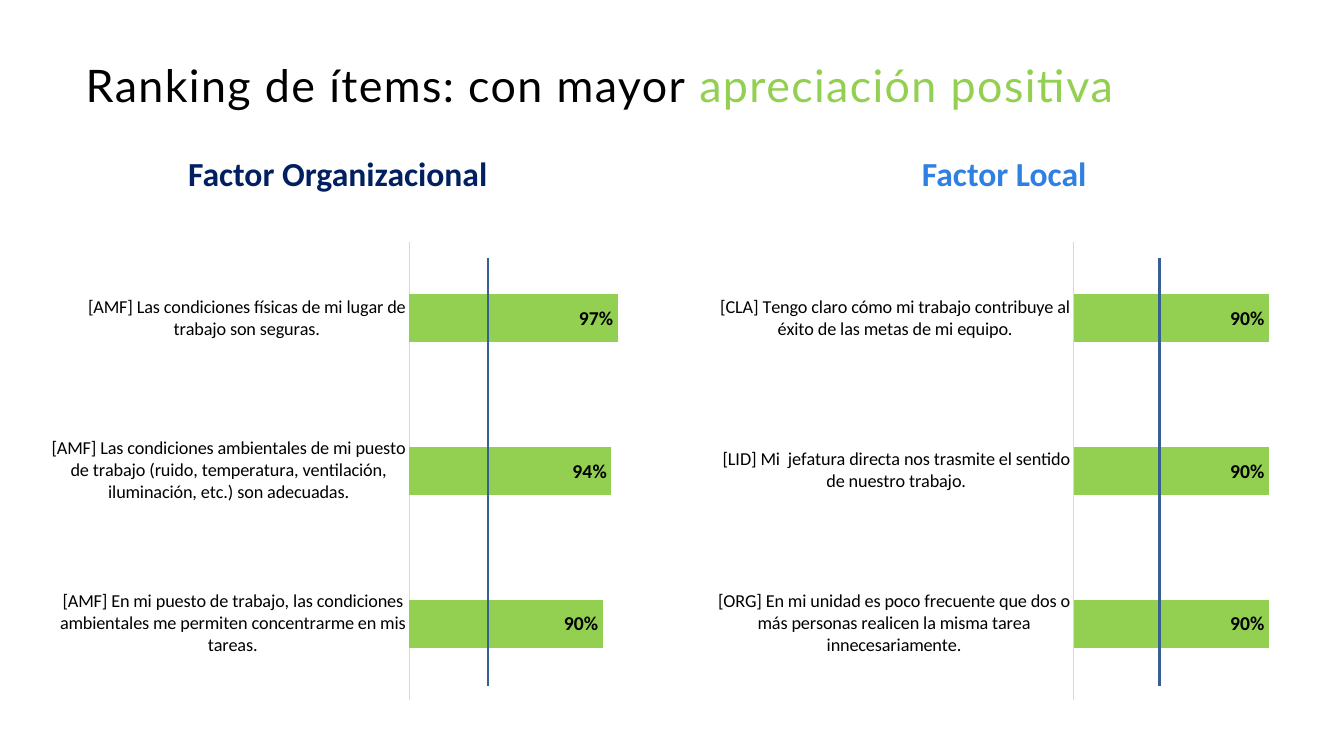
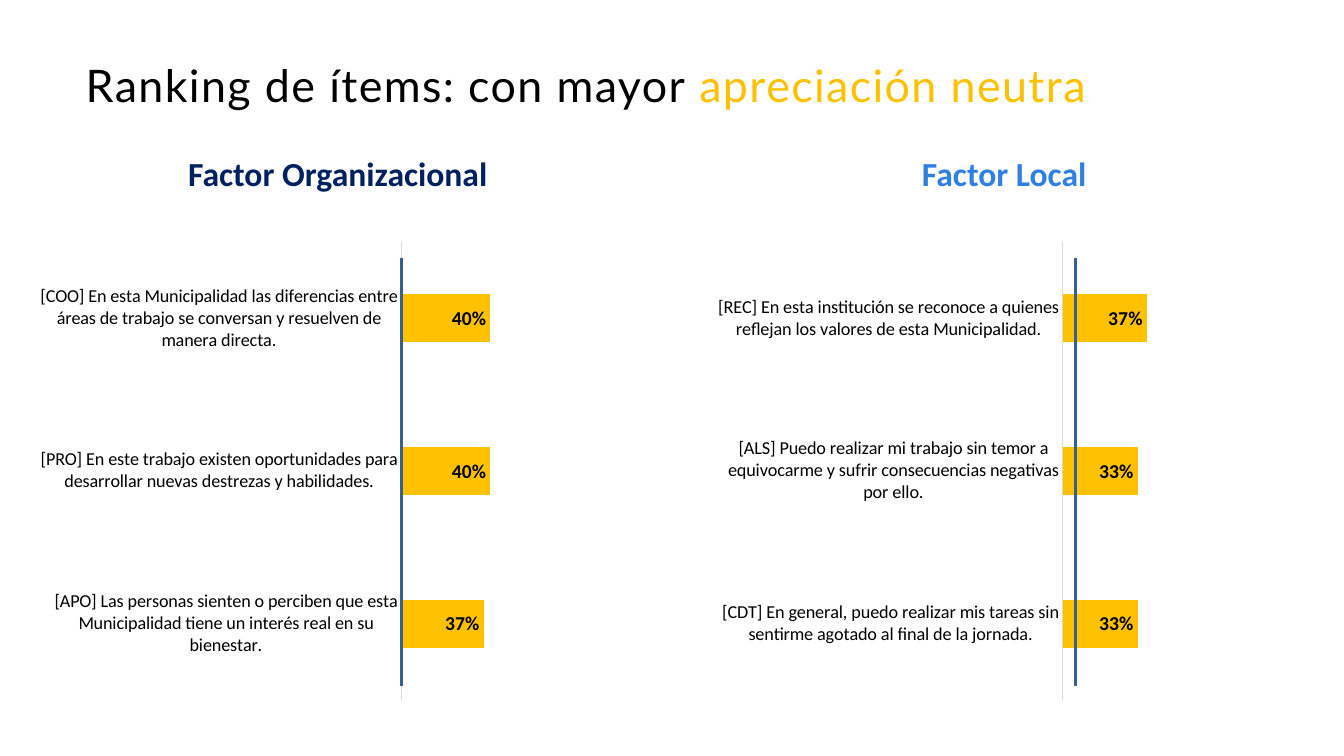
from dataclasses import dataclass

from lxml import etree
from pptx import Presentation
from pptx.chart.data import CategoryChartData
from pptx.dml.color import RGBColor
from pptx.enum.chart import XL_CHART_TYPE as ChartType
from pptx.enum.chart import XL_LABEL_POSITION as LabelPosition
from pptx.enum.chart import XL_TICK_LABEL_POSITION as TickLabelPosition
from pptx.enum.chart import XL_TICK_MARK as TickMark
from pptx.enum.shapes import MSO_CONNECTOR as Connector
from pptx.enum.text import MSO_ANCHOR as Anchor
from pptx.enum.text import MSO_AUTO_SIZE as AutoSize
from pptx.enum.text import PP_ALIGN as Align
from pptx.oxml.ns import qn
from pptx.util import Emu, Pt

EMU_PER_PX = 9144
TITLE_LAYOUT = 5
TITLE_FONT = "Lato"
BODY_FONT = "Calibri"
CHART_TOP, CHART_WIDTH, CHART_HEIGHT = 231, 591, 475
PLOT_TOP, PLOT_RIGHT, PLOT_HEIGHT = 9, 579, 455
COLORS = {
    "text": "000000",
    "chart_text": "FFFFFF",
    "organizational": "002060",
    "local": "307FE2",
    "positive": "93D051",
    "neutral": "FEC100",
    "axis": "D9D9D9",
    "reference": "376092",
}


@dataclass
class Factor:
    heading: str
    color: str
    heading_left: int
    chart_left: int


@dataclass
class Ranking:
    axis_x: int
    reference_x: int
    items: list


FACTORS = [
    Factor("Factor Organizacional", "organizational", 83, 40),
    Factor("Factor Local", "local", 744, 701),
]

POSITIVE = [
    Ranking(406, 484, [
        ("[AMF] En mi puesto de trabajo, las condiciones ambientales me permiten "
         "concentrarme en mis tareas.", 0.90),
        ("[AMF] Las condiciones ambientales de mi puesto de trabajo (ruido, temperatura, "
         "ventilación, iluminación, etc.) son adecuadas.", 0.94),
        ("[AMF] Las condiciones físicas de mi lugar de trabajo son seguras.", 0.97),
    ]),
    Ranking(1065, 1150, [
        ("[ORG] En mi unidad es poco frecuente que dos o más personas realicen la misma "
         "tarea innecesariamente.", 0.90),
        ("[LID] Mi  jefatura directa nos trasmite el sentido de nuestro trabajo.", 0.90),
        ("[CLA] Tengo claro cómo mi trabajo contribuye al éxito de las metas de mi equipo.",
         0.90),
    ]),
]

NEUTRAL = [
    Ranking(397, 398, [
        ("[APO] Las personas sienten o perciben que esta Municipalidad tiene un interés "
         "real en su bienestar.", 0.37),
        ("[PRO] En este trabajo existen oportunidades para desarrollar nuevas destrezas y "
         "habilidades.", 0.40),
        ("[COO] En esta Municipalidad las diferencias entre áreas de trabajo se conversan "
         "y resuelven de manera directa.", 0.40),
    ]),
    Ranking(1054, 1067, [
        ("[CDT] En general, puedo realizar mis tareas sin sentirme agotado al final de la "
         "jornada.", 0.33),
        ("[ALS] Puedo realizar mi trabajo sin temor a equivocarme y sufrir consecuencias "
         "negativas por ello.", 0.33),
        ("[REC] En esta institución se reconoce a quienes reflejan los valores de esta "
         "Municipalidad.", 0.37),
    ]),
]


def px(length):
    return Emu(length * EMU_PER_PX)


def box(left, top, width, height):
    return px(left), px(top), px(width), px(height)


def rgb(name):
    return RGBColor.from_string(COLORS[name])


def style_font(font, name, size, color, bold=False):
    font.name = name
    font.size = Pt(size)
    font.bold = bold
    font.color.rgb = rgb(color)


def add_run(paragraph, text, name, size, color, bold=False):
    run = paragraph.add_run()
    run.text = text
    style_font(run.font, name, size, color, bold)
    return run


def add_title(slide, emphasis, color):
    title = slide.shapes.title
    title.left, title.top, title.width, title.height = box(85, 34, 1178, 106)
    frame = title.text_frame
    frame.auto_size = AutoSize.NONE
    frame.vertical_anchor = Anchor.MIDDLE
    frame.margin_left = frame.margin_top = frame.margin_right = frame.margin_bottom = 0
    paragraph = frame.paragraphs[0]
    paragraph.alignment = Align.LEFT
    paragraph.line_spacing = 0.9
    for text, run_color in (("Ranking de ítems: con mayor ", "text"), (emphasis, color)):
        run = add_run(paragraph, text, TITLE_FONT, 32, run_color)
        run.font._element.set("spc", "100")


def add_heading(slide, factor):
    shape = slide.shapes.add_textbox(*box(factor.heading_left, 158, 504, 33))
    frame = shape.text_frame
    frame.word_wrap = True
    frame.vertical_anchor = Anchor.MIDDLE
    paragraph = frame.paragraphs[0]
    paragraph.alignment = Align.CENTER
    paragraph.line_spacing = 0.9
    add_run(paragraph, factor.heading, BODY_FONT, 24, factor.color, bold=True)


def style_axes(chart):
    category_axis = chart.category_axis
    category_axis.major_tick_mark = TickMark.NONE
    category_axis.minor_tick_mark = TickMark.NONE
    category_axis.tick_label_position = TickLabelPosition.NEXT_TO_AXIS
    category_axis.format.line.color.rgb = rgb("axis")
    category_axis.format.line.width = Pt(0.75)
    style_font(category_axis.tick_labels.font, BODY_FONT, 13, "text")
    value_axis = chart.value_axis
    value_axis.minimum_scale = 0
    value_axis.maximum_scale = 1
    value_axis.has_major_gridlines = False
    value_axis.visible = False


def place_plot(chart, plot_left):
    plot_area = chart._chartSpace.chart.plotArea
    for layout in plot_area.findall(qn("c:layout")):
        plot_area.remove(layout)
    layout = etree.Element(qn("c:layout"))
    plot_area.insert(0, layout)
    manual = etree.SubElement(layout, qn("c:manualLayout"))
    settings = (
        ("layoutTarget", "inner"),
        ("xMode", "edge"),
        ("yMode", "edge"),
        ("x", plot_left / CHART_WIDTH),
        ("y", PLOT_TOP / CHART_HEIGHT),
        ("w", (PLOT_RIGHT - plot_left) / CHART_WIDTH),
        ("h", PLOT_HEIGHT / CHART_HEIGHT),
    )
    for tag, value in settings:
        etree.SubElement(manual, qn(f"c:{tag}")).set("val", str(value))


def add_ranking_chart(slide, left, ranking, color):
    data = CategoryChartData(number_format="0%")
    categories, values = zip(*ranking.items)
    data.categories = categories
    data.add_series("Series 1", values)
    chart = slide.shapes.add_chart(
        ChartType.BAR_CLUSTERED, *box(left, CHART_TOP, CHART_WIDTH, CHART_HEIGHT), data).chart
    chart.has_title = False
    chart.has_legend = False
    style_font(chart.font, BODY_FONT, 10, "chart_text")
    style_axes(chart)
    place_plot(chart, ranking.axis_x - left)
    plot = chart.plots[0]
    plot.gap_width = 219
    plot.vary_by_categories = False
    fill = plot.series[0].format.fill
    fill.solid()
    fill.fore_color.rgb = rgb(color)
    plot.has_data_labels = True
    labels = plot.data_labels
    labels.show_value = True
    labels.position = LabelPosition.INSIDE_END
    labels.number_format = "0%"
    labels.number_format_is_linked = False
    style_font(labels.font, BODY_FONT, 14, "text", bold=True)


def add_reference_line(slide, x):
    line = slide.shapes.add_connector(Connector.STRAIGHT, px(x), px(681), px(x), px(256))
    line.line.color.rgb = rgb("reference")
    line.line.width = Pt(2)
    etree.SubElement(line._element.spPr, qn("a:effectLst"))


def add_ranking_slide(presentation, emphasis, color, rankings):
    slide = presentation.slides.add_slide(presentation.slide_layouts[TITLE_LAYOUT])
    add_title(slide, emphasis, color)
    for factor, ranking in zip(FACTORS, rankings):
        add_heading(slide, factor)
        add_ranking_chart(slide, factor.chart_left, ranking, color)
        add_reference_line(slide, ranking.reference_x)


def main():
    presentation = Presentation()
    presentation.slide_width = px(1333)
    presentation.slide_height = px(750)
    add_ranking_slide(presentation, "apreciación positiva", "positive", POSITIVE)
    add_ranking_slide(presentation, "apreciación neutra", "neutral", NEUTRAL)
    presentation.save("out.pptx")


if __name__ == "__main__":
    main()
